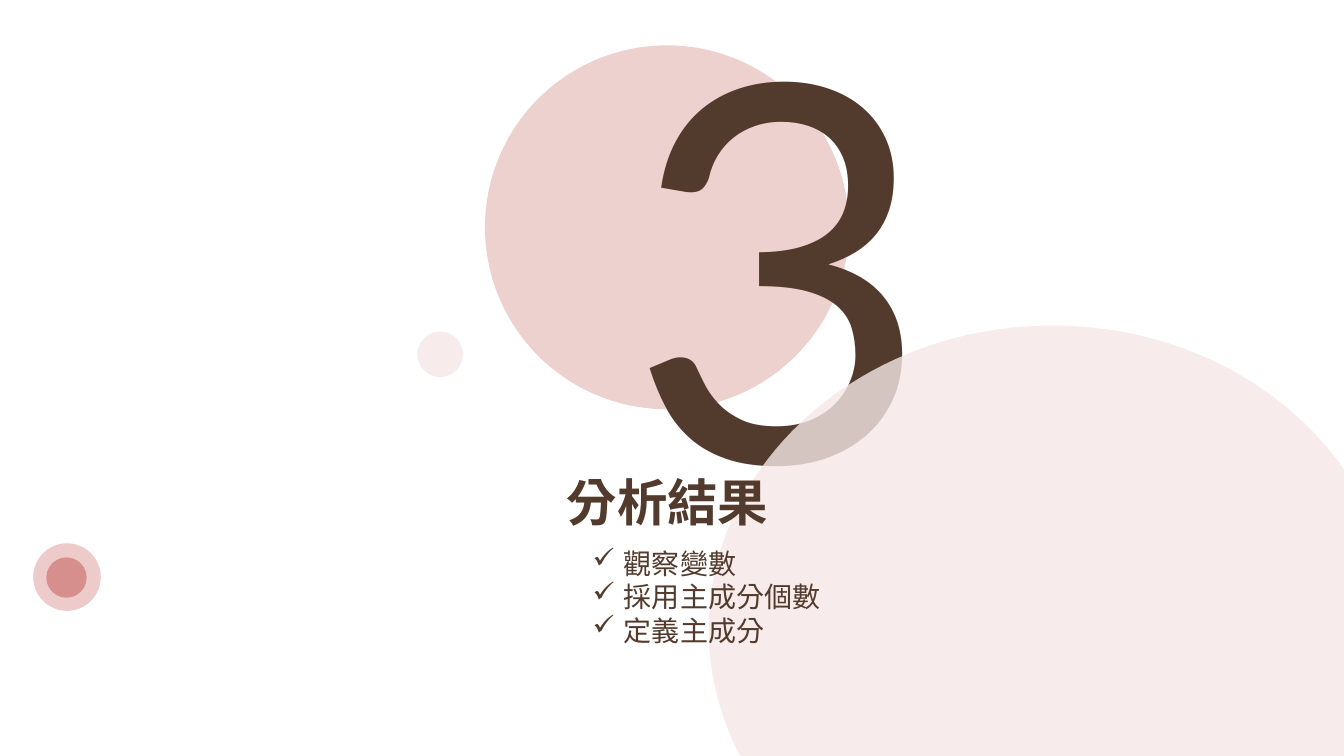
from lxml import etree
from pptx import Presentation
from pptx.dml.color import RGBColor
from pptx.enum.shapes import MSO_SHAPE
from pptx.enum.text import MSO_ANCHOR, PP_ALIGN
from pptx.oxml.ns import qn
from pptx.util import Inches, Pt

OVAL = MSO_SHAPE.OVAL
MIDDLE, TOP = MSO_ANCHOR.MIDDLE, MSO_ANCHOR.TOP
CENTER, LEFT = PP_ALIGN.CENTER, PP_ALIGN.LEFT

# Content
NUMBER = "3"
TITLE = "分析結果"
TOPICS = ["觀察變數", "採用主成分個數", "定義主成分"]
LATIN_FONT, CJK_FONT = "Lato", "Noto Sans CJK SC"
COLORS = {"brown": "523A2C", "rose": "EDD1CF", "blush": "F6E8E7",
          "ring": "ECCBCA", "core": "D78F8D"}

# Circles: left, top, diameter, colour, opacity in percent
BACK_CIRCLES = [(4.81, 0.45, 3.61, "rose", 100), (4.14, 3.29, 0.45, "blush", 80)]
TARGET_CIRCLES = [(0.33, 5.39, 0.67, "ring", 100), (0.46, 5.53, 0.4, "core", 100)]

# Large bubble cut off by the slide edge: start, then curves (3 points) and lines (1 point)
BUBBLE = [
    [(10.44, 3.23)],
    [(11.62, 3.23), (12.65, 3.76), (13.26, 4.56)],
    [(13.33, 4.66)], [(13.33, 7.51)], [(7.35, 7.51)], [(7.3, 7.42)],
    [(7.13, 7.06), (7.03, 6.66), (7.03, 6.24)],
    [(7.03, 4.58), (8.56, 3.23), (10.44, 3.23)],
]
CURVE_STEPS = 40

prs = Presentation()
prs.slide_width, prs.slide_height = Inches(13.33), Inches(7.5)
s = prs.slides.add_slide(prs.slide_layouts[5])


def paint(sp, color, opacity=100):
    sp.shadow.inherit = False
    sp.line.fill.background()
    sp.fill.solid()
    sp.fill.fore_color.rgb = RGBColor.from_string(COLORS[color])
    if opacity < 100:
        clr = sp.element.spPr.find(".//" + qn("a:srgbClr"))
        etree.SubElement(clr, qn("a:alpha"), val=str(opacity * 1000))


def add_circles(circles):
    for x, y, d, color, opacity in circles:
        sp = s.shapes.add_shape(OVAL, Inches(x), Inches(y), Inches(d), Inches(d))
        paint(sp, color, opacity)


def bezier(points, t):
    """Point at t on the curve, by repeated interpolation."""
    while len(points) > 1:
        points = [tuple(a + (b - a) * t for a, b in zip(p, q))
                  for p, q in zip(points, points[1:])]
    return points[0]


def outline(segments):
    points = list(segments[0])
    for seg in segments[1:]:
        steps = CURVE_STEPS if len(seg) > 1 else 1
        control = [points[-1]] + seg
        points += [bezier(control, i / steps) for i in range(1, steps + 1)]
    return [(Inches(x), Inches(y)) for x, y in points]


def write(sp, box, lines, size, font, bold=False, align=LEFT, anchor=TOP,
          wrap=True, bullet=None):
    sp.left, sp.top, sp.width, sp.height = map(Inches, box)
    tf = sp.text_frame
    tf.text = "\n".join(lines)
    tf.word_wrap, tf.vertical_anchor = wrap, anchor
    for p in tf.paragraphs:
        if bullet:
            pPr = p._p.get_or_add_pPr()
            pPr.set("marL", str(Inches(0.81)))
            pPr.set("indent", str(Inches(-0.31)))
            etree.SubElement(pPr, qn("a:buChar"), char=bullet)
        p.alignment = align
        for r in p.runs:
            r.font.size, r.font.bold, r.font.name = Pt(size), bold, font
            r.font.color.rgb = RGBColor.from_string(COLORS["brown"])
            rPr = r._r.get_or_add_rPr()
            rPr.set("lang", "zh-TW")
            etree.SubElement(rPr, qn("a:ea"), typeface=font)


# Circles and number behind the bubble
add_circles(BACK_CIRCLES)
write(s.shapes.add_textbox(0, 0, 0, 0), (6.13, 0.79, 1.04, 3.43), [NUMBER],
      375, LATIN_FONT, align=CENTER, anchor=MIDDLE)

# Bubble
start, *rest = outline(BUBBLE)
fb = s.shapes.build_freeform(*start, scale=1.0)
fb.add_line_segments(rest, close=True)
paint(fb.convert_to_shape(), "blush", 80)

# Topics and title, the title brought in front of the bubble
write(s.shapes.add_textbox(0, 0, 0, 0), (5.28, 5.37, 6.91, 1.38), TOPICS,
      20, CJK_FONT, bullet="✓")
title = s.shapes.title
title.element.getparent().append(title.element)
write(title, (5.51, 4.62, 2.22, 0.71), [TITLE], 36, CJK_FONT, bold=True,
      align=CENTER, anchor=MIDDLE, wrap=False)

# Target in the lower left
add_circles(TARGET_CIRCLES)

prs.save("out.pptx")
